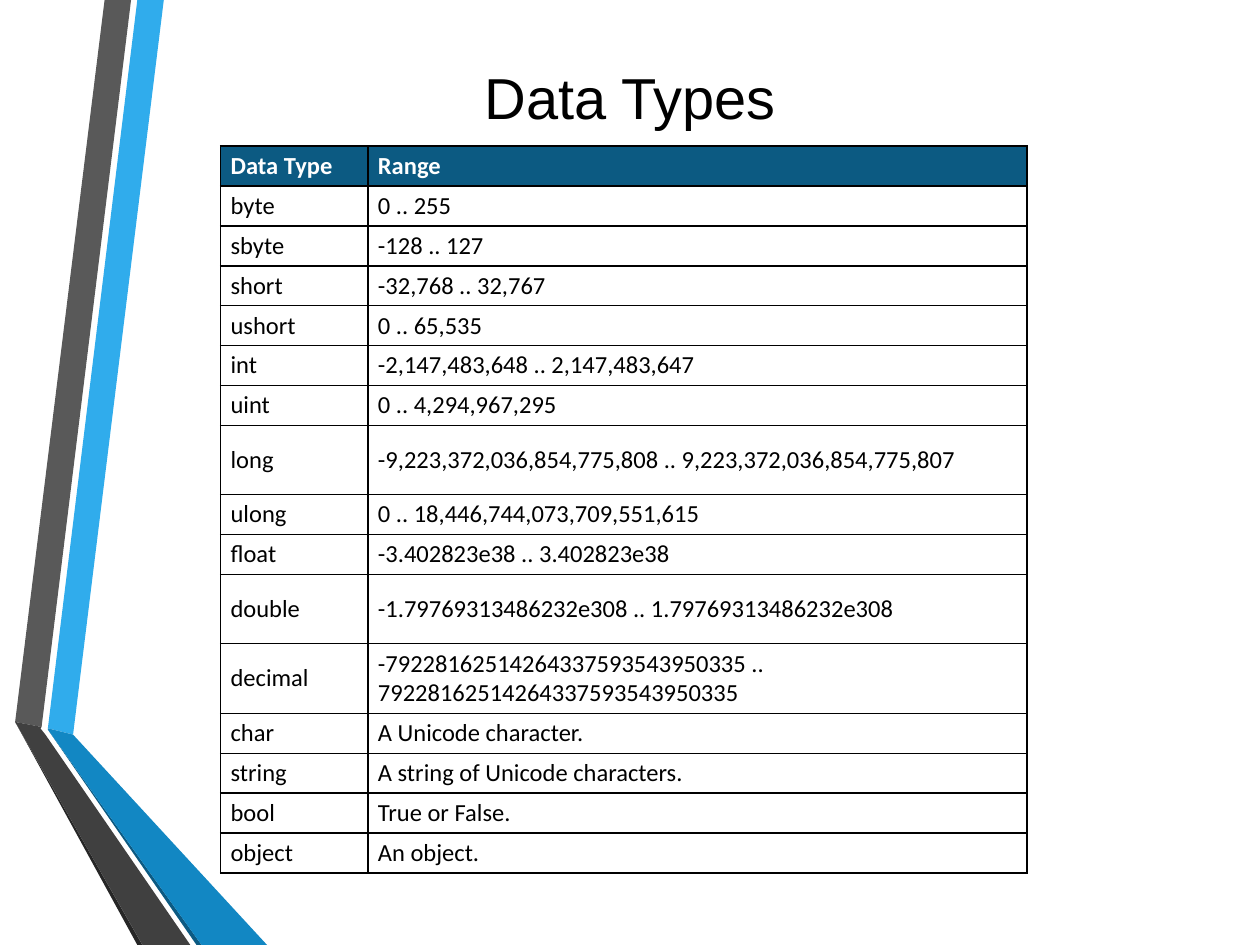
"""Build the Data Types slide: folded ribbons, a title and a table of ranges."""
from lxml import etree
from pptx import Presentation
from pptx.dml.color import RGBColor
from pptx.enum.text import MSO_ANCHOR, MSO_AUTO_SIZE, PP_ALIGN
from pptx.oxml.ns import qn
from pptx.util import Inches, Pt

MIDDLE = MSO_ANCHOR.MIDDLE
FIXED = MSO_AUTO_SIZE.NONE
CENTER = PP_ALIGN.CENTER
BLACK, WHITE, NAVY = "000000", "FFFFFF", "0C5A82"

RIBBONS = [
    ("30ACEC", [(0.38, 5.78), (0.58, 5.83), (1.3, 0), (1.09, 0)]),
    ("595959", [(1.04, 0), (0.83, 0), (0.12, 5.73), (0.33, 5.77)]),
    ("262626", [(0.12, 5.73), (1.09, 7.5), (1.13, 7.5)]),
    (NAVY, [(0.38, 5.79), (1.56, 7.5), (1.6, 7.5)]),
    ("1287C3", [(0.38, 5.78), (0.38, 5.79), (1.6, 7.5), (2.12, 7.5), (0.58, 5.83)]),
    ("404040", [(1.51, 7.5), (0.36, 5.83), (0.32, 5.78), (0.33, 5.77),
                (0.12, 5.73), (1.13, 7.5)]),
]
ROWS = [
    ("Data Type", "Range"),
    ("byte", "0 .. 255"),
    ("sbyte", "-128 .. 127"),
    ("short", "-32,768 .. 32,767"),
    ("ushort", "0 .. 65,535"),
    ("int", "-2,147,483,648 .. 2,147,483,647"),
    ("uint", "0 .. 4,294,967,295"),
    ("long", "-9,223,372,036,854,775,808 .. 9,223,372,036,854,775,807"),
    ("ulong", "0 .. 18,446,744,073,709,551,615"),
    ("float", "-3.402823e38 .. 3.402823e38"),
    ("double", "-1.79769313486232e308 .. 1.79769313486232e308"),
    ("decimal", "-79228162514264337593543950335 .. 79228162514264337593543950335"),
    ("char", "A Unicode character."),
    ("string", "A string of Unicode characters."),
    ("bool", "True or False."),
    ("object", "An object."),
]
TALL = ("long", "double", "decimal")


def color(code):
    return RGBColor.from_string(code)


def border(cell):
    props = cell._tc.get_or_add_tcPr()
    for place, side in enumerate(("lnL", "lnR", "lnT", "lnB")):
        line = etree.Element(qn(f"a:{side}"), w=str(Pt(1)))
        fill = etree.SubElement(line, qn("a:solidFill"))
        etree.SubElement(fill, qn("a:srgbClr"), val=BLACK)
        props.insert(place, line)


prs = Presentation()
prs.slide_width, prs.slide_height = Inches(10), Inches(7.5)
slide = prs.slides.add_slide(prs.slide_layouts[5])

for code, points in RIBBONS:
    spots = [(Inches(x), Inches(y)) for x, y in points]
    pen = slide.shapes.build_freeform(*spots[0])
    pen.add_line_segments(spots[1:], close=True)
    ribbon = pen.convert_to_shape()
    ribbon.shadow.inherit = False
    ribbon.fill.solid()
    ribbon.fill.fore_color.rgb = color(code)
    ribbon.line.fill.background()

title = slide.shapes.title
title.left, title.top = Inches(0.5), Inches(0.3)
title.width, title.height = Inches(9), Inches(0.93)
frame = title.text_frame
frame.text = "Data Types"
frame.auto_size = FIXED
frame.vertical_anchor = MIDDLE
frame.paragraphs[0].alignment = CENTER
font = frame.paragraphs[0].runs[0].font
font.name, font.size = "Arial", Pt(33)
font.color.rgb = color(BLACK)

table = slide.shapes.add_table(
    len(ROWS), 2, Inches(1.75), Inches(1.16), Inches(6.4), Inches(5.67)).table
table.horz_banding = False
table.columns[0].width = Inches(1.17)
table.columns[1].width = Inches(5.23)

for r, row in enumerate(ROWS):
    head = r == 0
    table.rows[r].height = Inches(0.55 if row[0] in TALL else 0.31)
    for c, text in enumerate(row):
        cell = table.cell(r, c)
        cell.text_frame.text = text
        cell.vertical_anchor = MIDDLE
        cell.margin_left = cell.margin_right = Inches(0.08)
        cell.margin_top = cell.margin_bottom = Inches(0.04)
        if head:
            cell.fill.solid()
            cell.fill.fore_color.rgb = color(NAVY)
        else:
            cell.fill.background()
        border(cell)
        font = cell.text_frame.paragraphs[0].runs[0].font
        font.name, font.size, font.bold = "Calibri", Pt(14), head
        font.color.rgb = color(WHITE if head else BLACK)

prs.save("out.pptx")
